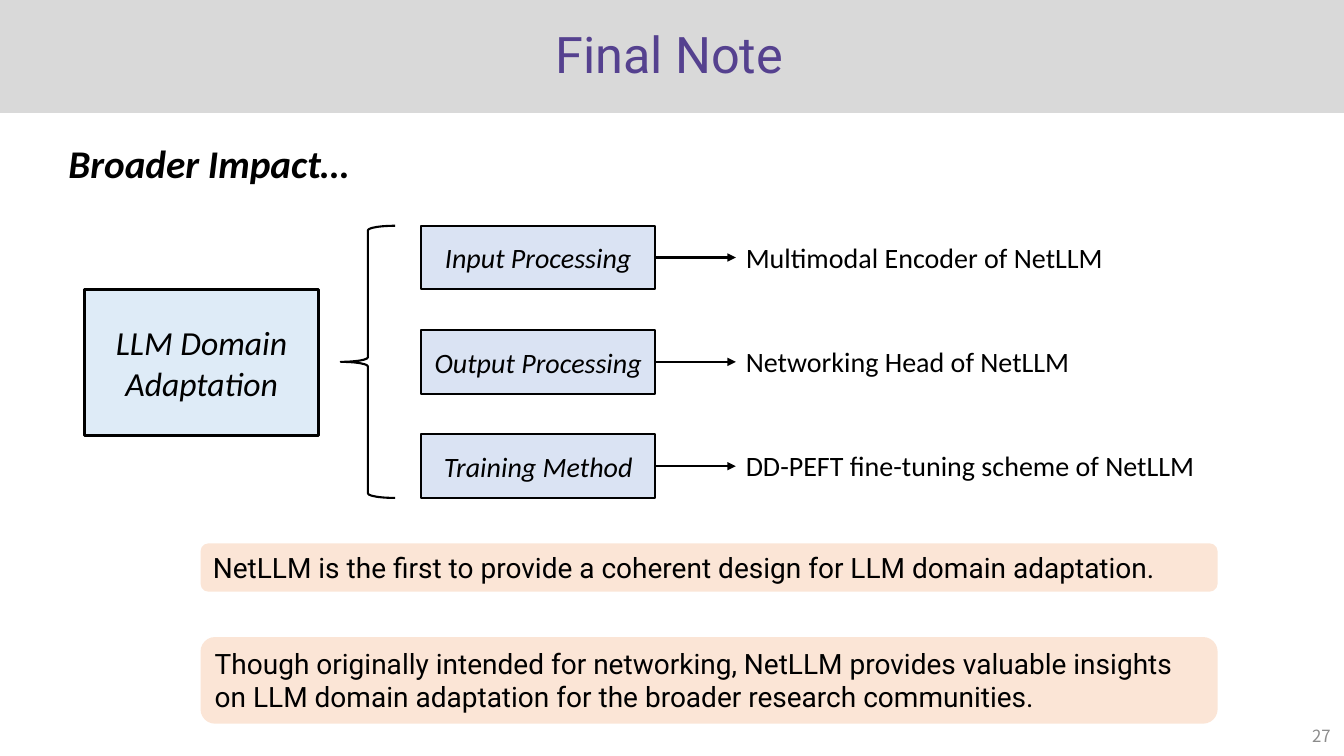
from lxml import etree
from pptx import Presentation
from pptx import util as u
from pptx.dml.color import RGBColor
from pptx.enum import shapes, text
from pptx.oxml.ns import qn

BLACK = RGBColor(0x00, 0x00, 0x00)
BAND = RGBColor(0xD9, 0xD9, 0xD9)
VIOLET = RGBColor(0x55, 0x41, 0x8F)
GREY = RGBColor(0x8C, 0x8C, 0x8C)
SKY = RGBColor(0xDE, 0xEB, 0xF7)
BLUE = RGBColor(0xDA, 0xE3, 0xF3)
PEACH = RGBColor(0xFB, 0xE5, 0xD6)

BODY, HEAD, PAGE = "Calibri", "Roboto", "Noto Sans CJK SC"
COLS, ROWS = 40, 30
LEFT, MID, RIGHT = text.PP_ALIGN.LEFT, text.PP_ALIGN.CENTER, text.PP_ALIGN.RIGHT
TOP, CENTER = text.MSO_ANCHOR.TOP, text.MSO_ANCHOR.MIDDLE
FORM = shapes.MSO_SHAPE


class Deck:
    """One slide on a grid of 40 columns and 30 rows."""

    def __init__(self):
        self.prs = Presentation()
        self.prs.slide_width = u.Inches(13.33)
        self.prs.slide_height = u.Inches(7.5)
        self.slide = self.prs.slides.add_slide(self.prs.slide_layouts[5])
        self.items = self.slide.shapes

    def grid(self, x, y):
        return (round(x * self.prs.slide_width / COLS),
                round(y * self.prs.slide_height / ROWS))

    def area(self, x, y, w, h):
        return self.grid(x, y) + self.grid(w, h)

    def fill_in(self, shape, words, size, font=BODY, color=BLACK, align=LEFT,
                anchor=TOP, bold=False, italic=False, grow=False):
        frame = shape.text_frame
        frame.word_wrap = True
        frame.vertical_anchor = anchor
        frame.auto_size = (text.MSO_AUTO_SIZE.SHAPE_TO_FIT_TEXT if grow
                           else text.MSO_AUTO_SIZE.NONE)
        para = frame.paragraphs[0]
        para.alignment = align
        run = para.add_run()
        run.text = words
        run.font.name, run.font.size = font, u.Pt(size)
        run.font.bold, run.font.italic = bold, italic
        run.font.color.rgb = color
        return para

    def title(self, box, words):
        shape = self.items.title
        shape.left, shape.top, shape.width, shape.height = self.area(*box)
        para = self.fill_in(shape, words, 36, HEAD, VIOLET, MID, CENTER)
        para.line_spacing = 0.9

    def label(self, box, words, size, **look):
        self.fill_in(self.items.add_textbox(*self.area(*box)), words, size, **look)

    def shape(self, form, box, fill=None, line=None):
        shape = self.items.add_shape(form, *self.area(*box))
        shape.shadow.inherit = False
        if fill is None:
            shape.fill.background()
        else:
            shape.fill.solid()
            shape.fill.fore_color.rgb = fill
        if line is None:
            shape.line.fill.background()
        else:
            shape.line.color.rgb = BLACK
            shape.line.width = u.Pt(line)
        return shape

    def block(self, box, words, size, fill, line):
        shape = self.shape(FORM.RECTANGLE, box, fill, line)
        self.fill_in(shape, words, size, align=MID, anchor=CENTER, italic=True)

    def note(self, box, words):
        shape = self.shape(FORM.ROUNDED_RECTANGLE, box, PEACH)
        self.fill_in(shape, words, 20, HEAD, grow=True)

    def arrow(self, start, end):
        link = self.items.add_connector(
            shapes.MSO_CONNECTOR.STRAIGHT, *self.grid(*start), *self.grid(*end))
        link.line.color.rgb = BLACK
        link.line.width = u.Pt(1.5)
        props = link.element.find(qn("p:spPr"))
        tip = etree.SubElement(props.find(qn("a:ln")), qn("a:tailEnd"))
        tip.set("type", "triangle")
        etree.SubElement(props, qn("a:effectLst"))


def main():
    deck = Deck()

    # Title band, placed behind the title
    band = deck.shape(FORM.RECTANGLE, (0, 0, COLS, 4.48), BAND)
    deck.items.title.element.addprevious(band.element)
    deck.title((1.14, 0.08, 37.56, 4.4), "Final Note")

    # Page number and heading
    deck.label((30.9, 28.4, 9, 1.6), "27", 12, font=PAGE, color=GREY,
               align=RIGHT, anchor=CENTER)
    deck.label((1.74, 5.32, 20, 2.28), "Broader Impact…", 28,
               bold=True, italic=True, grow=True)

    # Topic and brace
    top, step, high, wide = 8.96, 4.14, 2.52, 6.96
    deck.block((2.52, 11.48, wide, 5.8), "LLM Domain Adaptation", 24, SKY, 2.25)
    deck.shape(FORM.LEFT_BRACE, (10.14, top, 1.62, 2 * step + high), line=1.5)

    # Each step points to its part of the design
    steps = [
        ("Input Processing", "Multimodal Encoder of NetLLM"),
        ("Output Processing", "Networking Head of NetLLM"),
        ("Training Method", "DD-PEFT fine-tuning scheme of NetLLM"),
    ]
    left, tip = 12.54, 21.9
    for i, (name, part) in enumerate(steps):
        y = top + i * step
        axis = y + high / 2
        deck.block((left, y, wide, high), name, 20, BLUE, 1.5)
        deck.arrow((left + wide, axis), (tip, axis))
        deck.label((tip, axis - 0.88, 16.2, 1.76), part, 20, grow=True)

    # Closing notes
    deck.note((5.97, 21.56, 30.27, 1.92),
              "NetLLM is the first to provide a coherent design for LLM "
              "domain adaptation.")
    deck.note((5.97, 25.28, 30.27, 3.44),
              "Though originally intended for networking, NetLLM provides "
              "valuable insights on LLM domain adaptation for the broader "
              "research communities.")

    deck.prs.save("out.pptx")


if __name__ == "__main__":
    main()
